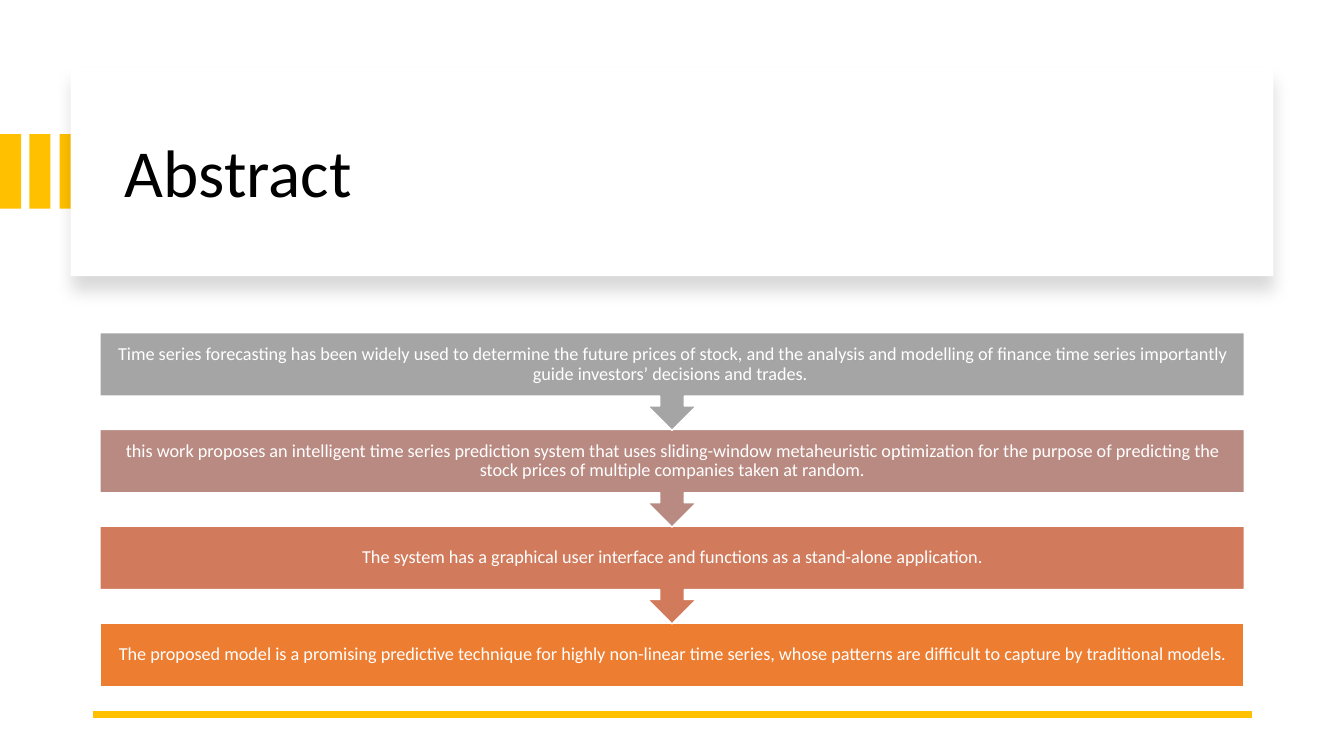
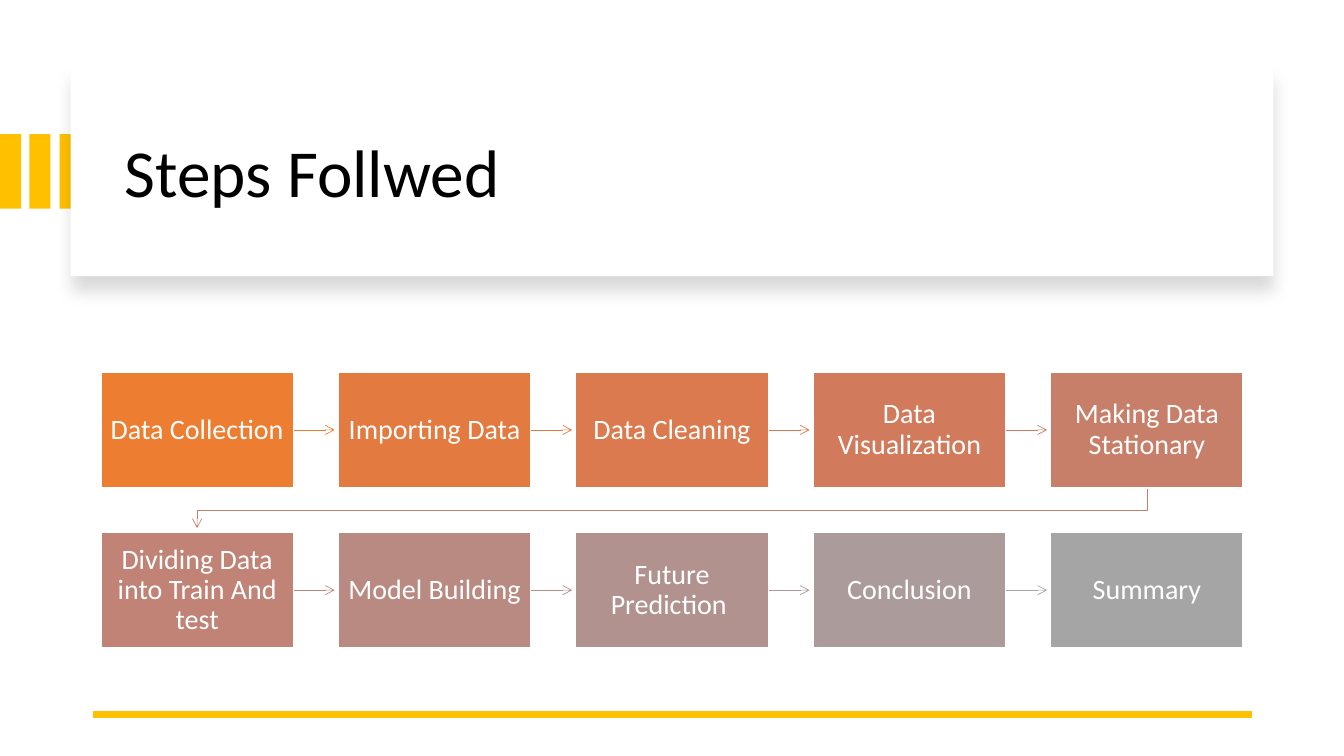
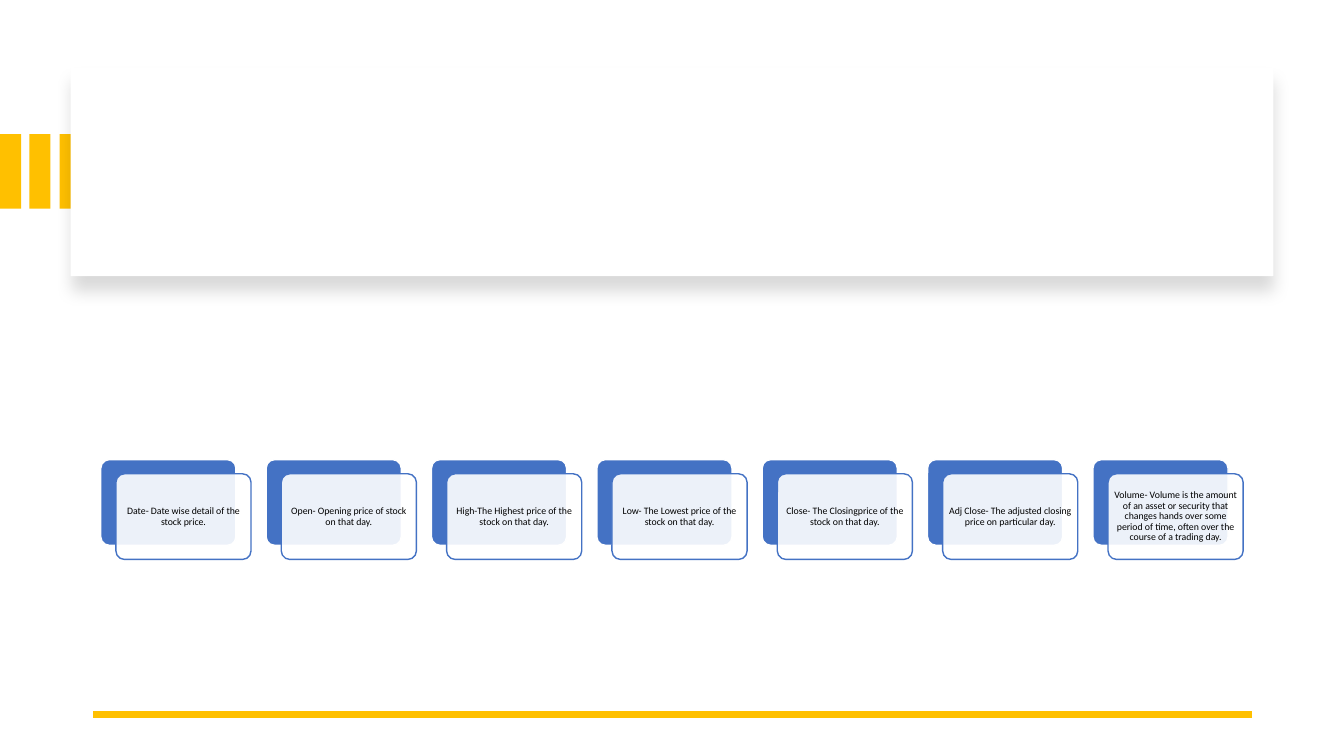
from lxml.etree import SubElement
from pptx import Presentation
from pptx.dml.color import RGBColor
from pptx.enum.shapes import MSO_CONNECTOR, MSO_SHAPE
from pptx.enum.text import MSO_ANCHOR, PP_ALIGN
from pptx.oxml.ns import qn
from pptx.util import Inches, Pt

FONT = "Calibri"
WHITE, BLACK, GOLD, BLUE, GREY = "FFFFFF", "000000", "FFC000", "4472C4", "A5A5A5"

TITLE = dict(size=48, color=BLACK, align=PP_ALIGN.LEFT, inset=(0.1, 0.05))
STAGE = dict(size=13, color=WHITE, align=PP_ALIGN.CENTER, inset=(0.1, 0.1))
STEP = dict(size=20, color=WHITE, align=PP_ALIGN.CENTER, inset=(0.09, 0.1))
CARD = dict(size=7, color=BLACK, align=PP_ALIGN.CENTER, inset=(0.03, 0.03))

STAGES = [
    ("Time series forecasting has been widely used to determine the future prices of stock, "
     "and the analysis and modelling of finance time series importantly guide investors’ "
     "decisions and trades. ", GREY),
    ("this work proposes an intelligent time series prediction system that uses sliding-window "
     "metaheuristic optimization for the purpose of predicting the stock prices of multiple "
     "companies taken at random.", "B98A82"),
    ("The system has a graphical user interface and functions as a stand-alone application.",
     "D17B5C"),
    ("The proposed model is a promising predictive technique for highly non-linear time series, "
     "whose patterns are difficult to capture by traditional models.", "ED7D31"),
]

# Step name, box colour, colour of the arrow to the next step
STEPS = [
    ("Data Collection", "ED7D31", "ED7D31"),
    ("Importing Data", "E37A40", "E27A42"),
    ("Data Cleaning", "DA7A4E", "D87A51"),
    ("Data Visualization", "D17B5C", "CE7C61"),
    ("Making Data Stationary", "C87F69", "C48170"),
    ("Dividing Data into Train And test", "C08376", "BC877E"),
    ("Model Building", "B98A82", "B4908B"),
    ("Future Prediction ", "B2928E", "AC9A99"),
    ("Conclusion", "AB9B9A", GREY),
    ("Summary", GREY, None),
]

COLUMNS = [
    "Date- Date wise detail of the stock price.",
    "Open- Opening price of stock on that day.",
    "High-The Highest price of the stock on that day.",
    "Low- The Lowest price of the stock on that day.",
    "Close- The Closingprice of the stock on that day.",
    "Adj Close- The adjusted closing price on particular day.",
    "Volume- Volume is the amount of an asset or security that changes hands over some "
    "period of time, often over the course of a trading day.",
]


def rgb(color):
    return RGBColor.from_string(color)


def set_all(obj, values):
    for name, value in values.items():
        setattr(obj, name, value)


def set_line(line, color, width):
    line.color.rgb = rgb(color)
    line.width = Pt(width)


def write(sp, text, style):
    tf = sp.text_frame
    dx, dy = map(Inches, style["inset"])
    set_all(tf, dict(word_wrap=True, vertical_anchor=MSO_ANCHOR.MIDDLE, margin_left=dx,
                     margin_right=dx, margin_top=dy, margin_bottom=dy))
    p = tf.paragraphs[0]
    set_all(p, dict(alignment=style["align"], line_spacing=0.9))
    r = p.add_run()
    r.text = text
    set_all(r.font, dict(name=FONT, size=Pt(style["size"])))
    r.font.color.rgb = rgb(style["color"])


def add_box(s, x, y, w, h, fill, line=None, kind=MSO_SHAPE.RECTANGLE):
    sp = s.shapes.add_shape(kind, Inches(x), Inches(y), Inches(w), Inches(h))
    sp.shadow.inherit = False
    sp.fill.solid()
    sp.fill.fore_color.rgb = rgb(fill)
    if line:
        set_line(sp.line, line, 1)
    else:
        sp.line.fill.background()
    return sp


def add_line(s, x1, y1, x2, y2, color, width):
    line = s.shapes.add_connector(MSO_CONNECTOR.STRAIGHT, Inches(x1), Inches(y1),
                                  Inches(x2), Inches(y2))
    set_line(line.line, color, width)
    SubElement(line._element.spPr, qn("a:effectLst"))
    return line


def add_bent_line(s, points, color, width):
    points = [(Inches(x), Inches(y)) for x, y in points]
    builder = s.shapes.build_freeform(*points[0])
    builder.add_line_segments(points[1:], close=False)
    sp = builder.convert_to_shape()
    sp.shadow.inherit = False
    sp.fill.background()
    set_line(sp.line, color, width)
    return sp


def add_arrowhead(sp):
    SubElement(sp._element.spPr.find(qn("a:ln")), qn("a:tailEnd"), type="arrow")


def set_opacity(sp, percent):
    color = sp._element.spPr.find(qn("a:solidFill"))[0]
    SubElement(color, qn("a:alpha"), val=str(percent * 1000))


def add_soft_shadow(sp):
    effects = sp._element.spPr.find(qn("a:effectLst"))
    shadow = SubElement(effects, qn("a:outerShdw"), blurRad=str(Pt(11)), dist=str(Pt(10)),
                        dir="5400000", algn="t", rotWithShape="0")
    color = SubElement(shadow, qn("a:srgbClr"), val=BLACK)
    SubElement(color, qn("a:alpha"), val="15000")


def add_slide(prs, title=None):
    """Add a slide with the shared bars, title panel and bottom rule."""
    s = prs.slides.add_slide(prs.slide_layouts[6])
    for x in (0, 0.29, 0.59):
        add_box(s, x, 1.33, 0.21, 0.74, GOLD)
    add_soft_shadow(add_box(s, 0.7, 0.67, 11.93, 2.07, WHITE))
    if title:
        box = s.shapes.add_textbox(Inches(1.14), Inches(0.89), Inches(11.13), Inches(1.7))
        write(box, title, TITLE)
    add_line(s, 12.42, 7.09, 0.92, 7.09, GOLD, 4.5)
    return s


def add_stages(s):
    last = len(STAGES) - 1
    for i, (text, color) in reversed(list(enumerate(STAGES))):
        kind, h = ((MSO_SHAPE.RECTANGLE, 0.63) if i == last
                   else (MSO_SHAPE.DOWN_ARROW_CALLOUT, 0.97))
        sp = add_box(s, 0.99, 3.3 + 0.96 * i, 11.35, h, color, WHITE, kind)
        write(sp, text, STAGE)


def add_steps(s):
    per_row, left, top, w, h = 5, 1, 3.69, 1.91, 1.15
    dx, dy = (10.42 - left) / (per_row - 1), 1.59
    for i, (text, color, arrow_color) in enumerate(STEPS):
        row, col = divmod(i, per_row)
        x, y = left + col * dx, top + row * dy
        if arrow_color:
            if col < per_row - 1:
                mid = y + h / 2
                arrow = add_line(s, x + w, mid, x + w + 0.41, mid, arrow_color, 0.5)
            else:
                start, end, turn = x + w / 2, left + w / 2, y + (h + dy) / 2
                arrow = add_bent_line(s, [(start, y + h), (start, turn), (end, turn),
                                          (end, y + dy - 0.04)], arrow_color, 0.5)
            add_arrowhead(arrow)
        write(add_box(s, x, y, w, h, color, WHITE), text, STEP)


def add_cards(s):
    w, h = 1.34, 0.85
    for i, text in enumerate(COLUMNS):
        x = 1 + 1.64 * i
        back = add_box(s, x, 4.56, w, h, BLUE, WHITE, MSO_SHAPE.ROUNDED_RECTANGLE)
        front = add_box(s, x + 0.15, 4.7, w, h, WHITE, BLUE, MSO_SHAPE.ROUNDED_RECTANGLE)
        for sp in (back, front):
            sp.adjustments[0] = 0.1
        set_opacity(front, 90)
        write(front, text, CARD)


def main():
    prs = Presentation()
    set_all(prs, dict(slide_width=Inches(13.33), slide_height=Inches(7.5)))
    add_stages(add_slide(prs, "Abstract"))
    add_steps(add_slide(prs, "Steps Follwed"))
    add_cards(add_slide(prs))
    prs.save("out.pptx")


if __name__ == "__main__":
    main()
